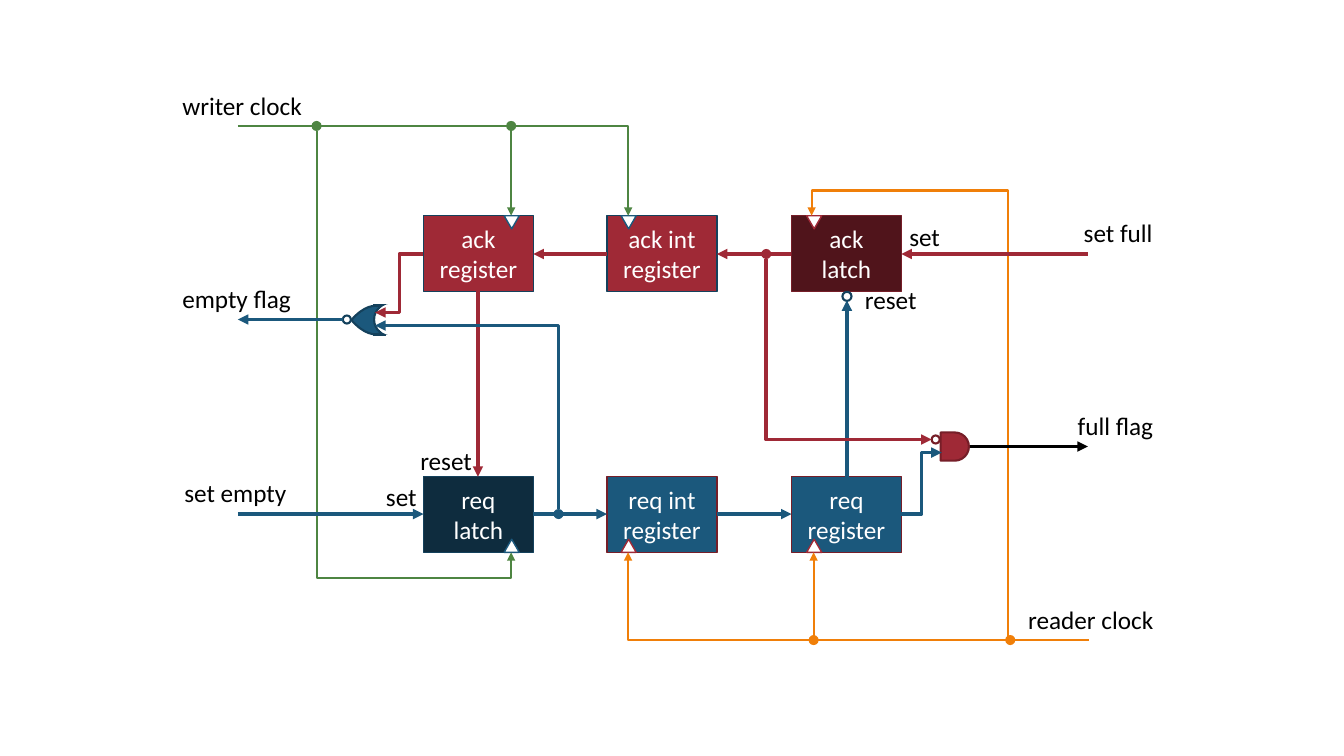
from pptx import Presentation
from pptx.dml.color import RGBColor
from pptx.enum.shapes import MSO_CONNECTOR as Connector, MSO_SHAPE as Shape
from pptx.enum.text import MSO_ANCHOR as Anchor, MSO_AUTO_SIZE as AutoSize, PP_ALIGN as Align
from pptx.oxml.ns import qn
from pptx.util import Inches, Pt
from lxml.etree import SubElement
from dataclasses import dataclass


@dataclass(frozen=True)
class Theme:
    red: str = "9F2936"
    red_edge: str = "761E28"
    red_dark: str = "50141B"
    blue: str = "1B587C"
    blue_edge: str = "14415C"
    blue_dark: str = "0E2C3E"
    green: str = "4E8542"
    orange: str = "F07F09"
    white: str = "FFFFFF"
    black: str = "000000"
    font: str = "Calibri"
    text_size: float = 18
    data_width: float = 2.5
    clock_width: float = 1.5
    gate_width: float = 1.5
    thin_width: float = 1


def write_text(frame, text, theme, color, align=Align.LEFT):
    for index, line in enumerate(text.split("\n")):
        paragraph = frame.paragraphs[0] if index == 0 else frame.add_paragraph()
        paragraph.alignment = align
        run = paragraph.add_run()
        run.text = line
        run.font.name = theme.font
        run.font.size = Pt(theme.text_size)
        run.font.color.rgb = RGBColor.from_string(color)


class Diagram:
    def __init__(self, slide, theme):
        self.slide = slide
        self.theme = theme

    def shape(self, kind, left, top, width, height, fill=None, line=None, weight=None, rotation=0):
        shape = self.slide.shapes.add_shape(kind, Inches(left), Inches(top), Inches(width), Inches(height))
        shape.shadow.inherit = False
        shape.rotation = rotation
        if fill:
            shape.fill.solid()
            shape.fill.fore_color.rgb = RGBColor.from_string(fill)
        else:
            shape.fill.background()
        if line:
            shape.line.color.rgb = RGBColor.from_string(line)
            shape.line.width = Pt(weight or self.theme.gate_width)
        else:
            shape.line.fill.background()
        return shape

    def block(self, left, top, text, fill, edge):
        shape = self.shape(Shape.RECTANGLE, left, top, BLOCK_WIDTH, BLOCK_HEIGHT, fill, edge, self.theme.thin_width)
        shape.text_frame.vertical_anchor = Anchor.MIDDLE
        write_text(shape.text_frame, text, self.theme, self.theme.white, Align.CENTER)

    def label(self, left, top, width, text):
        box = self.slide.shapes.add_textbox(Inches(left), Inches(top), Inches(width), Inches(0.4))
        box.text_frame.word_wrap = True
        box.text_frame.auto_size = AutoSize.SHAPE_TO_FIT_TEXT
        write_text(box.text_frame, text, self.theme, self.theme.black)

    def circle(self, x, y, diameter, fill=None, line=None):
        self.shape(Shape.FLOWCHART_CONNECTOR, x - diameter / 2, y - diameter / 2, diameter, diameter, fill, line)

    def clock_pin(self, x, top, line, rotation=0):
        self.shape(Shape.ISOSCELES_TRIANGLE, x - 0.07, top, 0.15, 0.13, self.theme.white, line,
                   self.theme.thin_width, rotation)

    def wire(self, start, end, color, weight, arrow=True, kind=Connector.STRAIGHT):
        points = [Inches(value) for value in (*start, *end)]
        connector = self.slide.shapes.add_connector(kind, *points)
        connector.line.color.rgb = RGBColor.from_string(color)
        connector.line.width = Pt(weight)
        if arrow:
            SubElement(connector.line._get_or_add_ln(), qn("a:tailEnd"), type="triangle")
        SubElement(connector._element.spPr, qn("a:effectLst"))
        return connector

    def elbow(self, start, end, color, weight, vertical=False, bends=2, bend_at=None):
        if vertical:
            across, down = end[0] - start[0], end[1] - start[1]
            middle_x, middle_y = start[0] + across / 2, start[1] + down / 2
            start = (middle_x + down / 2, middle_y - across / 2)
            end = (middle_x - down / 2, middle_y + across / 2)
        connector = self.wire(start, end, color, weight, kind=Connector.ELBOW)
        properties = connector._element.spPr
        if vertical:
            properties.find(qn("a:xfrm")).set("rot", str(270 * 60000))
        geometry = properties.find(qn("a:prstGeom"))
        geometry.set("prst", f"bentConnector{bends + 1}")
        if bend_at:
            guides = geometry.find(qn("a:avLst"))
            SubElement(guides, qn("a:gd"), name="adj1", fmla=f"val {round(bend_at * 100000)}")


BLOCK_WIDTH, BLOCK_HEIGHT = 1.09, 0.75
COLUMNS = (4.2, 6.02, 7.85)
ACK_TOP, REQ_TOP = 2.14, 4.73
ACK_Y, REQ_Y = 2.52, 5.1
REQ_BOTTOM = REQ_TOP + BLOCK_HEIGHT
WRITER_Y, READER_Y = 1.25, 6.35
CLOCK_X = (5.07, 6.23, 8.07)


def draw_blocks(diagram, theme):
    ack_row = [("ack\nregister", theme.red, theme.blue_edge), ("ack int\nregister", theme.red, theme.blue_edge),
               ("ack\nlatch", theme.red_dark, theme.red_edge)]
    req_row = [("req\nlatch", theme.blue_dark, theme.blue_edge), ("req int\nregister", theme.blue, theme.red_edge),
               ("req\nregister", theme.blue, theme.red_edge)]
    for top, row in ((ACK_TOP, ack_row), (REQ_TOP, req_row)):
        for left, (text, fill, edge) in zip(COLUMNS, row):
            diagram.block(left, top, text, fill, edge)
    for x, ack_edge, req_edge in zip(CLOCK_X, (theme.blue, theme.blue, theme.red),
                                     (theme.blue, theme.red, theme.red)):
        diagram.clock_pin(x, ACK_TOP, ack_edge, 180)
        diagram.clock_pin(x, REQ_BOTTOM - 0.13, req_edge)


def draw_gates(diagram, theme):
    diagram.circle(8.4, 2.94, 0.09, line=theme.blue_edge)
    diagram.shape(Shape.FLOWCHART_DELAY, 9.33, 4.29, 0.28, 0.28, theme.red, theme.red_edge)
    diagram.circle(9.28, 4.36, 0.08, line=theme.red_edge)
    diagram.shape(Shape.HEART, 3.51, 3.01, 0.28, 0.33, theme.blue, theme.blue_edge, rotation=90)
    diagram.shape(Shape.FLOWCHART_CONNECTOR, 3.71, 3.03, 0.23, 0.28, theme.white, theme.blue_edge, rotation=180)
    for y in (3.03, 3.32):
        diagram.wire((3.7, y), (3.83, y), theme.blue_edge, theme.gate_width, arrow=False)
    for top, rotation in ((2.99, 273.7), (3.07, 86.3)):
        diagram.shape(Shape.FLOWCHART_CONNECTOR, 3.77, top, 0.23, 0.28, theme.white, rotation=rotation)
    diagram.circle(3.44, 3.17, 0.08, theme.white, theme.blue_edge)


def draw_clocks(diagram, theme):
    green, orange, weight = theme.green, theme.orange, theme.clock_width
    diagram.wire((2.36, WRITER_Y), (5.07, WRITER_Y), green, weight, arrow=False)
    diagram.wire((10.8, READER_Y), (8.07, READER_Y), orange, weight, arrow=False)
    diagram.wire((5.07, WRITER_Y), (5.07, ACK_TOP), green, weight)
    diagram.wire((8.07, READER_Y), (8.07, REQ_BOTTOM), orange, weight)
    diagram.elbow((5.12, WRITER_Y), (6.23, ACK_TOP), green, weight, bends=1)
    diagram.elbow((8.02, READER_Y), (6.23, REQ_BOTTOM), orange, weight, bends=1)
    diagram.elbow((3.14, 1.3), (5.07, REQ_BOTTOM), green, weight, vertical=True, bend_at=1.06)
    diagram.elbow((10, 6.31), (8.05, ACK_TOP), orange, weight, vertical=True, bend_at=1.06)
    for x, y, color in ((3.14, WRITER_Y, green), (5.07, WRITER_Y, green),
                        (8.07, READER_Y, orange), (10.02, READER_Y, orange)):
        diagram.circle(x, y, 0.1, color)


def draw_signals(diagram, theme):
    red, blue, weight = theme.red, theme.blue, theme.data_width
    for start, end, color in (
            ((10.79, ACK_Y), (8.94, ACK_Y), red), ((7.85, ACK_Y), (7.11, ACK_Y), red),
            ((6.02, ACK_Y), (5.29, ACK_Y), red), ((4.74, 2.89), (4.74, REQ_TOP), red),
            ((2.36, REQ_Y), (4.2, REQ_Y), blue), ((5.29, REQ_Y), (6.02, REQ_Y), blue),
            ((7.11, REQ_Y), (7.85, REQ_Y), blue), ((8.4, REQ_TOP), (8.4, 2.98), blue),
            ((3.4, 3.17), (2.36, 3.17), blue), ((9.62, 4.43), (10.79, 4.43), theme.black)):
        diagram.wire(start, end, color, weight)
    diagram.elbow((7.6, 2.57), (9.24, 4.36), red, weight, vertical=True, bends=1)
    diagram.elbow((5.54, 5.05), (3.72, 3.23), blue, weight, vertical=True, bends=1)
    diagram.elbow((8.94, REQ_Y), (9.34, 4.49), blue, weight)
    diagram.elbow((4.2, ACK_Y), (3.72, 3.1), red, weight)
    diagram.circle(7.6, ACK_Y, 0.1, red)
    diagram.circle(5.54, REQ_Y, 0.1, blue)


def draw_labels(diagram):
    for left, top, width, text in (
            (1.71, 0.85, 1.73, "writer clock"), (10.1, 5.95, 1.73, "reader clock"),
            (1.71, 2.76, 1.73, "empty flag"), (10.59, 4.02, 0.99, "full flag"),
            (1.73, 4.69, 1.73, "set empty"), (10.65, 2.11, 0.99, "set full"),
            (8.48, 2.77, 0.74, "reset"), (4.07, 4.37, 0.74, "reset"),
            (3.73, 4.73, 0.54, "set"), (8.92, 2.15, 0.56, "set")):
        diagram.label(left, top, width, text)


def main():
    presentation = Presentation()
    presentation.slide_width, presentation.slide_height = Inches(13.33), Inches(7.5)
    theme = Theme()
    diagram = Diagram(presentation.slides.add_slide(presentation.slide_layouts[6]), theme)
    draw_blocks(diagram, theme)
    draw_gates(diagram, theme)
    draw_clocks(diagram, theme)
    draw_signals(diagram, theme)
    draw_labels(diagram)
    presentation.save("out.pptx")


if __name__ == "__main__":
    main()
